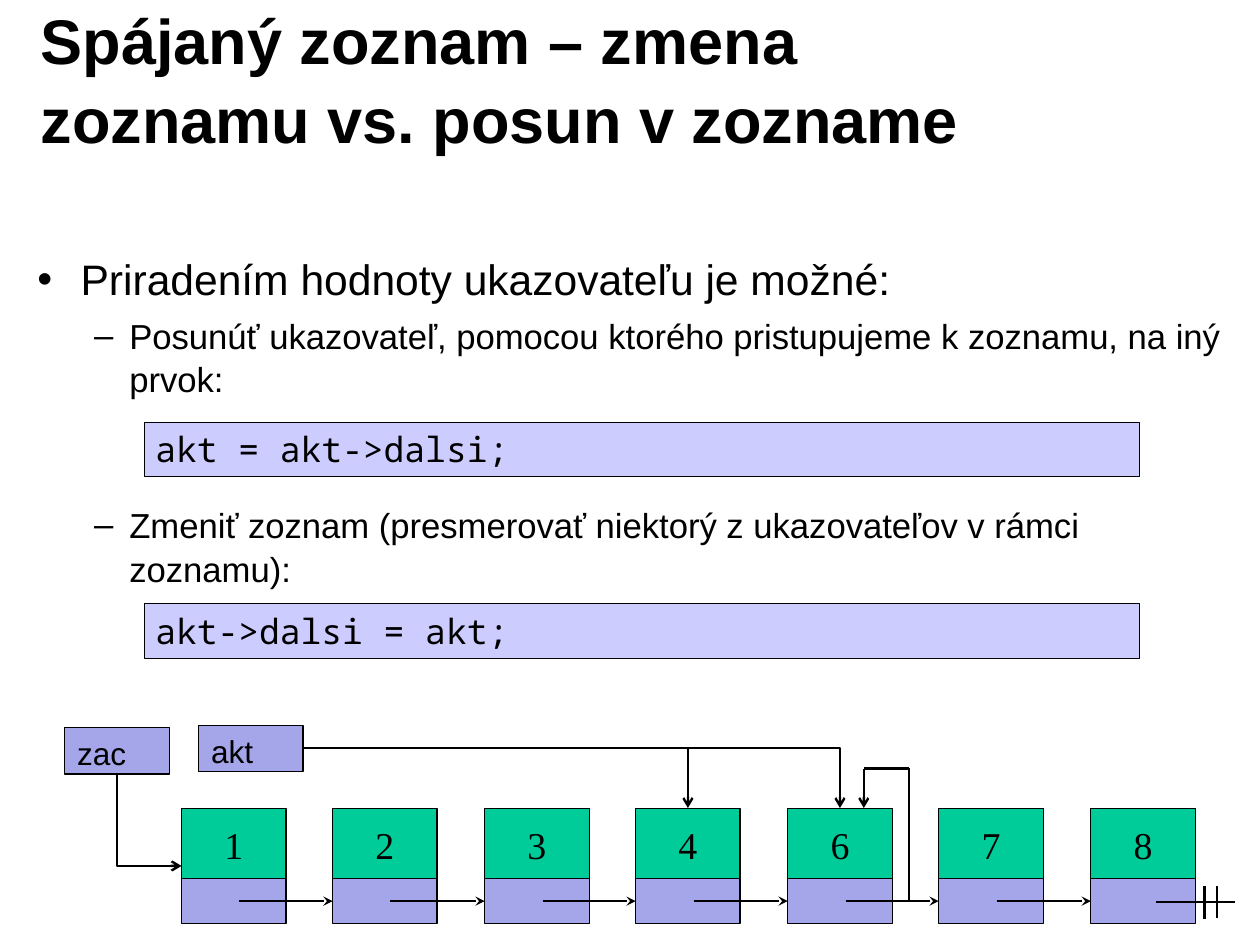
from lxml import etree
from pptx import Presentation
from pptx.dml.color import RGBColor
from pptx.enum.shapes import MSO_CONNECTOR, MSO_SHAPE
from pptx.enum.text import MSO_ANCHOR, MSO_AUTO_SIZE, PP_ALIGN
from pptx.oxml.ns import qn
from pptx.util import Pt

TITLE = "Spájaný zoznam – zmena zoznamu vs. posun v zozname"
BULLETS = [
    (0, "•", "Priradením hodnoty ukazovateľu je možné:", 27, 0),
    (1, "–", "Posunúť ukazovateľ, pomocou ktorého pristupujeme k zoznamu, na iný prvok:", 22, 5),
    (1, "–", "Zmeniť zoznam (presmerovať niektorý z ukazovateľov v rámci zoznamu):", 22, 65),
]
INDENTS = [(38, -38), (81, -31)]
CODE = [("akt = akt->dalsi;", 372), ("akt->dalsi = akt;", 532)]
VARIABLES = [("zac", 57, 641), ("akt", 175, 639)]
VALUES = ["1", "2", "3", "4", "6", "7", "8"]
NULL_MARK = [(1018, 795, 1088, 795), (1072, 809, 1072, 781), (1061, 810, 1061, 781)]
LOOP = [(788, 794, 801, 794), (801, 677, 801, 793), (801, 677, 761, 677)]
LOOP_END = (761, 678, 761, 712)

PX = 9144
BLACK = RGBColor(0x00, 0x00, 0x00)
GREEN = RGBColor(0x00, 0xCC, 0x99)
VIOLET = RGBColor(0xA5, 0xA5, 0xE9)
LAVENDER = RGBColor(0xCC, 0xCC, 0xFF)
LEFT, CENTER = PP_ALIGN.LEFT, PP_ALIGN.CENTER
TOP, MIDDLE = MSO_ANCHOR.TOP, MSO_ANCHOR.MIDDLE
NO_FIT = MSO_AUTO_SIZE.NONE
RECTANGLE = MSO_SHAPE.RECTANGLE
STRAIGHT, ELBOW = MSO_CONNECTOR.STRAIGHT, MSO_CONNECTOR.ELBOW

NODE_LEFT, NODE_TOP, NODE_WIDTH = 160, 712, 92
VALUE_HEIGHT, POINTER_HEIGHT = 62, 40
POINTER_TOP = NODE_TOP + VALUE_HEIGHT
POINTER_MIDDLE = POINTER_TOP + POINTER_HEIGHT // 2
ARROW_START = 51


def style(paragraph, name, size, align=LEFT):
    paragraph.alignment = align
    font = paragraph.font
    font.name, font.size, font.color.rgb = name, Pt(size), BLACK


def set_frame(frame, anchor=TOP, side=11, top=6):
    frame.word_wrap = True
    frame.auto_size = NO_FIT
    frame.vertical_anchor = anchor
    frame.margin_left = frame.margin_right = side * PX
    frame.margin_top = frame.margin_bottom = top * PX


def place(shape, left, top, width, height):
    shape.left, shape.top = left * PX, top * PX
    shape.width, shape.height = width * PX, height * PX


def add_box(slide, left, top, width, height, fill):
    box = slide.shapes.add_shape(RECTANGLE, left * PX, top * PX, width * PX, height * PX)
    box.shadow.inherit = False
    box.fill.solid()
    box.fill.fore_color.rgb = fill
    box.line.color.rgb = BLACK
    box.line.width = Pt(0.75)
    return box


def write(box, text, name, size, align=LEFT, side=11, top=6):
    set_frame(box.text_frame, TOP, side, top)
    paragraph = box.text_frame.paragraphs[0]
    paragraph.text = text
    style(paragraph, name, size, align)


def add_line(slide, points, head=None, kind=STRAIGHT):
    line = slide.shapes.add_connector(kind, *(value * PX for value in points))
    line.line.color.rgb = BLACK
    line.line.width = Pt(1.5)
    if head:
        etree.SubElement(line.line._get_or_add_ln(), qn("a:tailEnd"), type=head)
    properties = line._element.spPr
    etree.SubElement(properties, qn("a:effectLst"))
    if kind == ELBOW:
        properties.find(qn("a:prstGeom")).set("prst", "bentConnector2")
    return line


def add_title(slide):
    title = slide.shapes.title
    place(title, 25, 17, 891, 102)
    set_frame(title.text_frame, MIDDLE)
    paragraph = title.text_frame.paragraphs[0]
    paragraph.text = TITLE
    paragraph.line_spacing = 1.05
    style(paragraph, "Arial", 40)
    paragraph.font.bold = True


def add_bullets(slide):
    body = slide.placeholders[1]
    place(body, 22, 215, 1066, 310)
    frame = body.text_frame
    set_frame(frame)
    for index, (level, mark, text, size, before) in enumerate(BULLETS):
        paragraph = frame.add_paragraph() if index else frame.paragraphs[0]
        paragraph.text = text
        paragraph.level = level
        properties = paragraph._p.get_or_add_pPr()
        margin, indent = INDENTS[level]
        properties.set("marL", str(margin * PX))
        properties.set("indent", str(indent * PX))
        etree.SubElement(properties, qn("a:buChar"), char=mark)
        paragraph.line_spacing = 1.05
        paragraph.space_before = Pt(before)
        style(paragraph, "Arial", size)


def add_nodes(slide):
    pointers = []
    for index, value in enumerate(VALUES):
        left = NODE_LEFT + index * 267 // 2
        cell = add_box(slide, left, NODE_TOP, NODE_WIDTH, VALUE_HEIGHT, GREEN)
        write(cell, value, "Times New Roman", 24, CENTER, top=12)
        pointers.append(add_box(slide, left, POINTER_TOP, NODE_WIDTH, POINTER_HEIGHT, VIOLET))
    for index, target in enumerate(pointers[1:]):
        start = NODE_LEFT + index * 267 // 2 + ARROW_START
        end = NODE_LEFT + (index + 1) * 267 // 2
        arrow = add_line(slide, (start, POINTER_MIDDLE, end, POINTER_MIDDLE), "stealth")
        arrow.end_connect(target, 1)


def add_variables(slide):
    for name, left, top in VARIABLES:
        write(add_box(slide, left, top, 92, 41, VIOLET), name, "Arial", 20)
    start_arrow = add_line(slide, (172, 694, 91, 751), "arrow", ELBOW)
    start_arrow._element.spPr.find(qn("a:xfrm")).set("rot", "16200000")
    for target in (606, 740):
        add_line(slide, (267, 659, target, NODE_TOP), "arrow", ELBOW)


def main():
    deck = Presentation()
    deck.slide_width, deck.slide_height = 1110 * PX, 830 * PX
    slide = deck.slides.add_slide(deck.slide_layouts[1])
    add_title(slide)
    add_bullets(slide)
    for text, top in CODE:
        box = add_box(slide, 127, top, 877, 48, LAVENDER)
        write(box, text, "Noto Sans Mono", 22, side=10, top=5)
    add_nodes(slide)
    add_variables(slide)
    for points in NULL_MARK + LOOP:
        add_line(slide, points)
    add_line(slide, LOOP_END, "arrow")
    deck.save("out.pptx")


if __name__ == "__main__":
    main()
